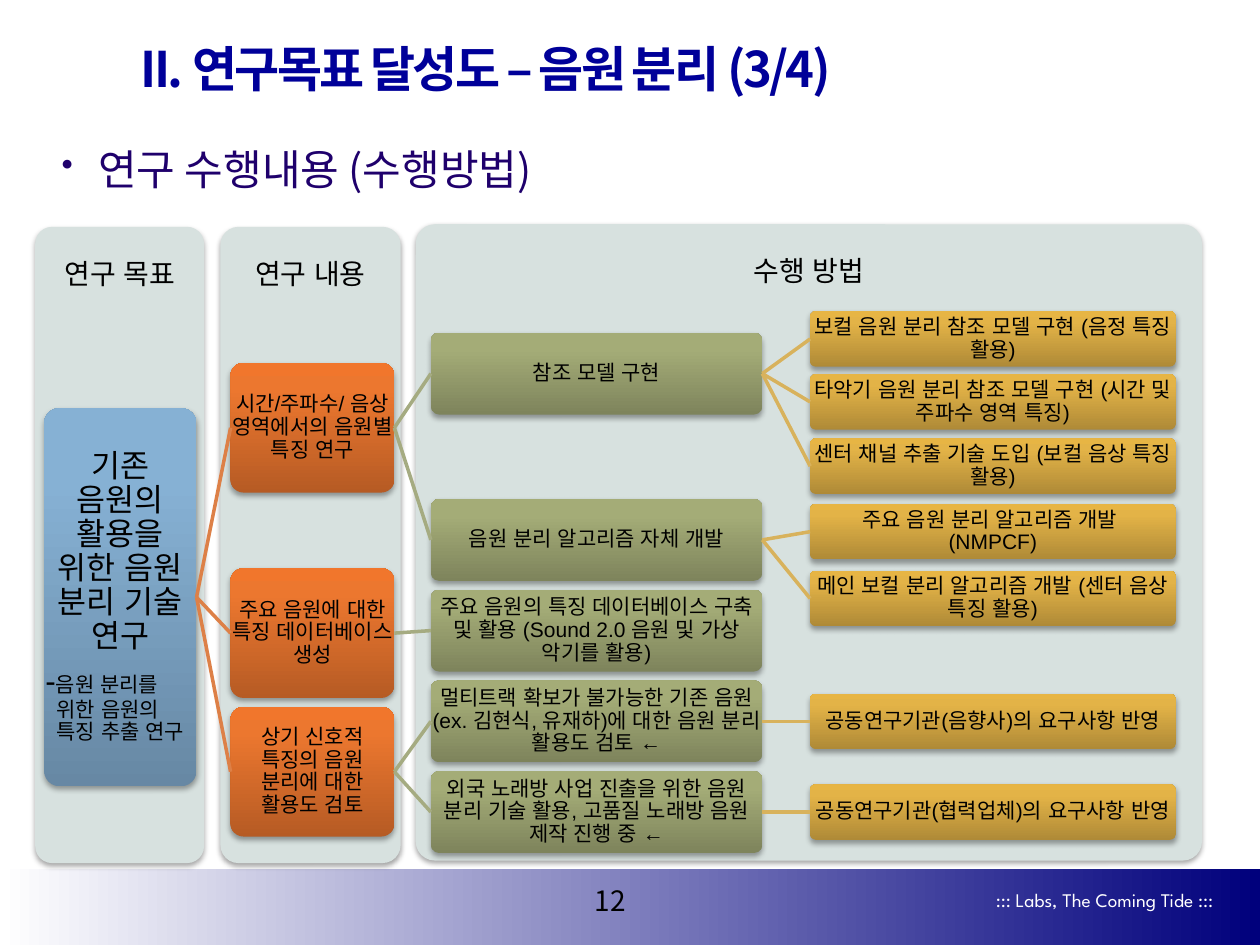
from dataclasses import dataclass

from lxml import etree
from pptx import Presentation
from pptx.dml.color import RGBColor
from pptx.enum.shapes import MSO_CONNECTOR, MSO_SHAPE
from pptx.enum.text import MSO_ANCHOR, PP_ALIGN
from pptx.oxml.ns import qn
from pptx.util import Inches, Pt

LEFT, CENTER, RIGHT = PP_ALIGN.LEFT, PP_ALIGN.CENTER, PP_ALIGN.RIGHT
TOP, MIDDLE = MSO_ANCHOR.TOP, MSO_ANCHOR.MIDDLE
RECT, ROUNDED = MSO_SHAPE.RECTANGLE, MSO_SHAPE.ROUNDED_RECTANGLE
STRAIGHT = MSO_CONNECTOR.STRAIGHT
RIGHT_SIDE, LEFT_SIDE = 3, 1

# The slide is a grid of 100 columns by 75 rows
WIDTH, HEIGHT = Inches(10), Inches(7.5)
CELL = WIDTH // 100


@dataclass(frozen=True)
class Theme:
    heading_font: str = "Noto Sans CJK KR"
    diagram_font: str = "Arial"
    footer_font: str = "League Spartan"
    title: str = "000099"
    subtitle: str = "1F006C"
    text: str = "000000"
    light: str = "FFFFFF"
    navy: str = "00007C"
    panel: str = "D7E1DF"
    title_size: int = 28
    subtitle_size: int = 24
    goal_size: int = 18
    label_size: int = 16
    card_size: int = 12
    footer_size: int = 11


@dataclass(frozen=True)
class Level:
    left: float
    width: float
    height: float
    stops: tuple
    link: str
    size: int


THEME = Theme()
GOAL = Level(3.5, 12.1, 30, ((0, "6788A4"), (80, "86B1D4"), (100, "86B2D7")),
             "", THEME.goal_size)
TOPIC = Level(18.3, 13, 10.3, ((0, "B65B24"), (80, "EC772F"), (100, "F1762C")),
              "DD8047", THEME.card_size)
METHOD = Level(34.2, 26.3, 6.5, ((0, "7E845C"), (80, "A4AC77"), (100, "A6AE76")),
               "A5AB81", THEME.card_size)
DETAIL = Level(64.3, 29, 4.4, ((0, "AF8A37"), (80, "E3B347"), (100, "E7B544")),
               "D8B25C", THEME.card_size)
LEVELS = (GOAL, TOPIC, METHOD, DETAIL)

# heading, left, top, width, corner
PANELS = (
    ("연구 내용", 17.5, 18, 14.3, 0.1),
    ("연구 목표", 2.8, 18, 13.4, 0.1),
    ("수행 방법", 33, 17.8, 62.4, 0.03),
)

# Each node: text, top row (None = centred on its parent), children
TREE = ("기존 음원의 활용을 위한 음원 분리 기술 연구", 32.4, (
    ("시간/주파수/ 음상 영역에서의 음원별 특징 연구", 28.8, (
        ("참조 모델 구현", 26.4, (
            ("보컬 음원 분리 참조 모델 구현 (음정 특징 활용)", 24.7, ()),
            ("타악기 음원 분리 참조 모델 구현 (시간 및 주파수 영역 특징)", 29.7, ()),
            ("센터 채널 추출 기술 도입 (보컬 음상 특징 활용)", 34.8, ()))),
        ("음원 분리 알고리즘 자체 개발", 39.6, (
            ("주요 음원 분리 알고리즘 개발 \n(NMPCF)", 40, ()),
            ("메인 보컬 분리 알고리즘 개발 (센터 음상 특징 활용)", 45.3, ()))))),
    ("주요 음원에 대한 특징 데이터베이스 생성", 45.1, (
        ("주요 음원의 특징 데이터베이스 구축 및 활용 (Sound 2.0 음원 및 가상 악기를 활용)",
         46.8, ()),)),
    ("상기 신호적 특징의 음원 분리에 대한 활용도 검토", 56.1, (
        ("멀티트랙 확보가 불가능한 기존 음원(ex. 김현식, 유재하)에 대한 음원 분리 활용도 검토 ←",
         54, (("공동연구기관(음향사)의 요구사항 반영", None, ()),)),
        ("외국 노래방 사업 진출을 위한 음원 분리 기술 활용, 고품질 노래방 음원 제작 진행 중 ←",
         61.2, (("공동연구기관(협력업체)의 요구사항 반영", None, ()),)))),
))


def cells(*counts):
    return [round(count * CELL) for count in counts]


def add_run(paragraph, text, size, font, color, bold=None):
    run = paragraph.add_run()
    run.text = text
    run.font.size, run.font.name, run.font.bold = Pt(size), font, bold
    run.font.color.rgb = RGBColor.from_string(color)
    etree.SubElement(run.font._element, qn("a:ea"), typeface=font)
    return run


def add_text_frame(slide, box, anchor=MIDDLE, margins=None, wrap=True):
    frame = slide.shapes.add_textbox(*cells(*box)).text_frame
    frame.word_wrap, frame.vertical_anchor = wrap, anchor
    if margins is not None:
        frame.margin_left = frame.margin_right = Inches(margins)
        frame.margin_top = frame.margin_bottom = Inches(margins)
    return frame


def add_line(slide, box, text, size, font, color, align=LEFT, bold=None,
             anchor=MIDDLE, wrap=True):
    paragraph = add_text_frame(slide, box, anchor, wrap=wrap).paragraphs[0]
    paragraph.alignment = align
    return paragraph, add_run(paragraph, text, size, font, color, bold)


def style_label(paragraph, size, align=CENTER):
    paragraph.alignment, paragraph.line_spacing = align, 0.9
    paragraph.space_after = Pt(round(size * 0.35, 1))


def add_label(slide, box, text, size, margins):
    frame = add_text_frame(slide, box, margins=margins)
    paragraph = frame.paragraphs[0]
    style_label(paragraph, size)
    for number, line in enumerate(text.split("\n")):
        if number:
            paragraph.add_line_break()
        add_run(paragraph, line, size, THEME.diagram_font, THEME.text)
    return frame


def set_gradient(shape, stops, angle):
    shape.fill.gradient()
    shape.fill.gradient_angle = angle
    stop_list = shape._element.spPr.find(".//" + qn("a:gsLst"))
    for old_stop in list(stop_list):
        stop_list.remove(old_stop)
    for position, color in stops:
        stop = etree.SubElement(stop_list, qn("a:gs"), pos=str(position * 1000))
        etree.SubElement(stop, qn("a:srgbClr"), val=color)


def add_block(slide, kind, box):
    shape = slide.shapes.add_shape(kind, *cells(*box))
    shape.shadow.inherit = False
    shape.line.fill.background()
    return shape


def add_card(slide, box, corner):
    card = add_block(slide, ROUNDED, box)
    card.adjustments[0] = corner
    effects = card._element.spPr.find(qn("a:effectLst"))
    shadow = etree.SubElement(effects, qn("a:outerShdw"), blurRad="40000",
                              dist="23000", dir="5400000", rotWithShape="0")
    color = etree.SubElement(shadow, qn("a:srgbClr"), val="000000")
    etree.SubElement(color, qn("a:alpha"), val="35000")
    return card


def add_link(slide, parent, child, color):
    link = slide.shapes.add_connector(STRAIGHT, 0, 0, 0, 0)
    link.begin_connect(parent, RIGHT_SIDE)
    link.end_connect(child, LEFT_SIDE)
    link.line.color.rgb, link.line.width = RGBColor.from_string(color), Pt(2)
    etree.SubElement(link._element.spPr, qn("a:effectLst"))


def add_panel(slide, heading, left, top, width, corner):
    panel = add_card(slide, (left, top, width, 50.5), corner)
    panel.fill.solid()
    panel.fill.fore_color.rgb = RGBColor.from_string(THEME.panel)
    add_label(slide, (left, top, width, 7.7), heading, THEME.label_size, 0.16)


def add_branch(slide, node, depth=0, parent=None):
    text, top, children = node
    level = LEVELS[depth]
    if top is None:
        top = (parent.top + parent.height / 2) / CELL - level.height / 2
    box = (level.left, top, level.width, level.height)
    card = add_card(slide, box, 0.1)
    set_gradient(card, level.stops, 90)
    if parent is not None:
        add_link(slide, parent, card, level.link)
    frame = add_label(slide, box, text, level.size, 0.01)
    for child in children:
        add_branch(slide, child, depth + 1, card)
    return frame


def add_goal_note(frame):
    note = frame.add_paragraph()
    properties = note._p.get_or_add_pPr()
    properties.set("marL", str(Inches(0.09)))
    properties.set("indent", str(-Inches(0.09)))
    style_label(note, THEME.card_size, LEFT)
    for text, size in (("-", THEME.goal_size),
                       ("음원 분리를 위한 음원의 특징 추출 연구", THEME.card_size)):
        add_run(note, text, size, THEME.diagram_font, THEME.text)


def add_headings(slide):
    _, title = add_line(slide, (10.2, 2.3, 78.1, 6.2), "II. 연구목표 달성도 – 음원 분리 (3/4)",
                        THEME.title_size, THEME.heading_font, THEME.title, bold=True)
    title.font._element.set("spc", "-150")
    subtitle, _ = add_line(slide, (3.9, 10.9, 93.4, 55.5), "연구 수행내용 (수행방법)",
                           THEME.subtitle_size, THEME.heading_font, THEME.subtitle, anchor=TOP)
    properties = subtitle._p.get_or_add_pPr()
    properties.set("marL", str(Inches(0.29)))
    properties.set("indent", str(-Inches(0.29)))
    etree.SubElement(properties, qn("a:buSzPct"), val="80000")
    etree.SubElement(properties, qn("a:buChar"), char="•")


def add_footer(slide):
    bar = add_block(slide, RECT, (0, 69, 100, 6))
    set_gradient(bar, ((0, THEME.light), (100, THEME.navy)), 0)
    add_line(slide, (76.1, 70, 21.2, 2.8), "::: Labs, The Coming Tide :::", THEME.footer_size,
             THEME.footer_font, THEME.light, RIGHT, wrap=False)
    add_line(slide, (45.3, 69.6, 6.3, 3.7), "12", THEME.label_size,
             THEME.heading_font, THEME.text, CENTER)


def main():
    deck = Presentation()
    deck.slide_width, deck.slide_height = WIDTH, HEIGHT
    slide = deck.slides.add_slide(deck.slide_layouts[6])
    add_footer(slide)
    for panel in PANELS:
        add_panel(slide, *panel)
    add_headings(slide)
    add_goal_note(add_branch(slide, TREE))
    deck.save("out.pptx")


if __name__ == "__main__":
    main()
